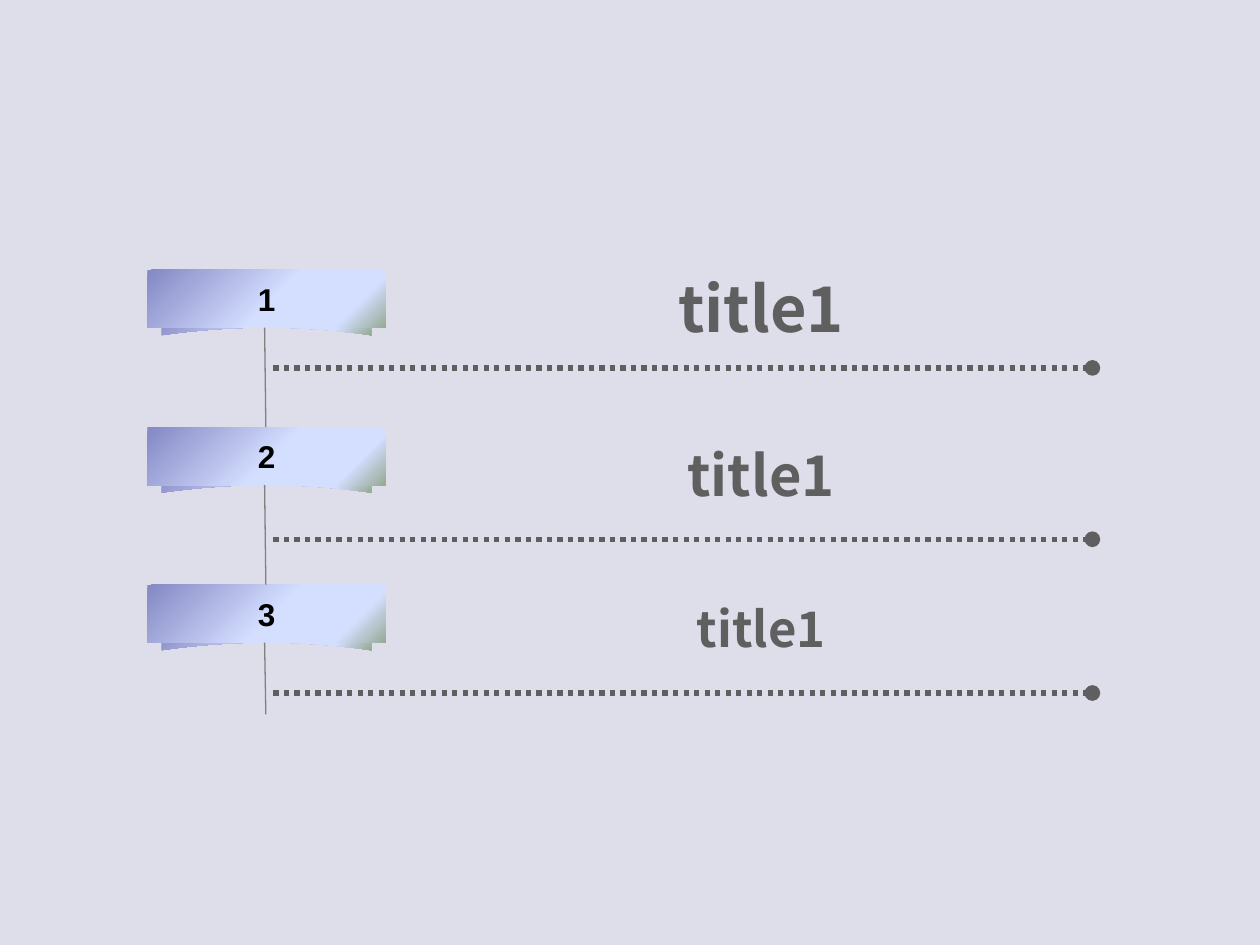
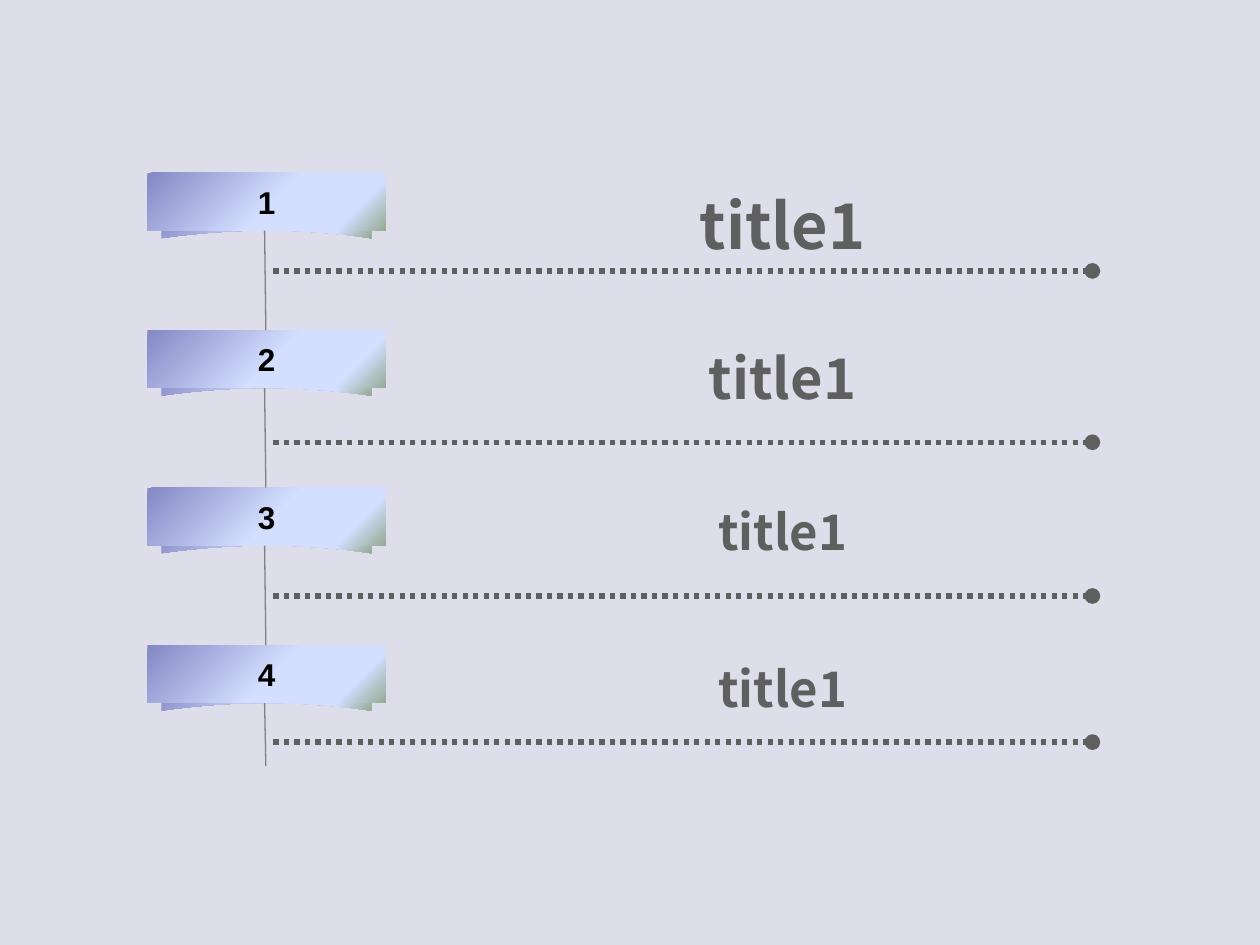
from dataclasses import dataclass

from lxml import etree
from pptx import Presentation
from pptx.dml.color import RGBColor
from pptx.enum.dml import MSO_LINE_DASH_STYLE as Dash
from pptx.enum.shapes import MSO_CONNECTOR as Connector, MSO_SHAPE as Shape
from pptx.enum.text import MSO_ANCHOR as Anchor, MSO_AUTO_SIZE as AutoSize, PP_ALIGN as Align
from pptx.oxml.ns import qn
from pptx.util import Inches, Pt

COLORS = {
    "background": "DDDEEA",
    "ribbon_dark": "8488C4",
    "ribbon_light": "D4DEFF",
    "ribbon_green": "96AB94",
    "stem": "808080",
    "title": "5F5F5F",
    "number": "000000",
}
RIBBON_STOPS = [(0, "ribbon_dark"), (53, "ribbon_light"), (83, "ribbon_light"), (100, "ribbon_green")]

# The slide is a grid of 100 columns by 75 rows; all lengths are in cells
COLUMNS, ROWS = 100, 75
BANNER_LEFT, BANNER_WIDTH, BANNER_HEIGHT = 11.7, 18.9, 4.6
PITCH = 12.5
RULE_LEFT, RULE_RIGHT = 21.7, 86.7
TITLE_WIDTH = 49.2
TITLE_HEIGHTS = {36: 7.1, 32: 6.4, 28: 5.7}


@dataclass
class Item:
    """Font size of a title, and drops of its parts below the banner's top."""
    size: int
    rule_drop: float
    title_drop: float = 0.6


def cells(count):
    return Inches(count / 10)


def color(name):
    return RGBColor.from_string(COLORS[name])


def style_text(shape, text, font_name, size, color_name):
    frame = shape.text_frame
    frame.text = text
    paragraph = frame.paragraphs[0]
    paragraph.alignment = Align.CENTER
    font = paragraph.runs[0].font
    font.name, font.size, font.bold = font_name, Pt(size), True
    font.color.rgb = color(color_name)
    return frame


def style_ribbon(shape):
    shape.shadow.inherit = False
    shape.line.fill.background()
    shape.fill.gradient()
    shape.fill.gradient_angle = 315
    stops = shape._element.spPr.find(qn("a:gradFill")).find(qn("a:gsLst"))
    for stop in list(stops):
        stops.remove(stop)
    for position, name in RIBBON_STOPS:
        stop = etree.SubElement(stops, qn("a:gs"), pos=str(position * 1000))
        etree.SubElement(stop, qn("a:srgbClr"), val=COLORS[name])


def add_line(slide, start, end, color_name, width):
    line = slide.shapes.add_connector(Connector.STRAIGHT, *map(cells, start + end))
    line.line.color.rgb = color(color_name)
    line.line.width = Pt(width)
    etree.SubElement(line._element.spPr, qn("a:effectLst"))
    return line


def add_banner(slide, left, top, width, height, number):
    group = slide.shapes.add_group_shape()

    # Curved fold below the banner: a parabola, closed by a shallow roof
    middle, half, fold_top = left + width / 2, 8.3, top + 3
    steps = [1 - step / 11 for step in range(23)]
    curve = [(middle + half * x, fold_top + 1.6 + 0.6 * x * x) for x in steps]
    roof = [(middle - half, fold_top + 0.6), (middle, fold_top), (middle + half, fold_top + 0.6)]
    points = [(cells(x), cells(y)) for x, y in curve + roof]
    builder = group.shapes.build_freeform(*points[0], scale=1.0)
    builder.add_line_segments(points[1:], close=True)
    style_ribbon(builder.convert_to_shape())

    # Numbered front
    front = group.shapes.add_shape(Shape.RECTANGLE, *map(cells, (left, top, width, height)))
    style_ribbon(front)
    frame = style_text(front, str(number), "Arial", 18, "number")
    frame.vertical_anchor = Anchor.MIDDLE
    frame.word_wrap = False


def add_stem(slide, top, bottom):
    add_line(slide, (21, top), (21.1, bottom), "stem", 0.75)


def add_rule(slide, left, right, level):
    rule = add_line(slide, (left, level), (right, level), "title", 3)
    rule.line.dash_style = Dash.ROUND_DOT
    outline = rule.line._get_or_add_ln()
    etree.SubElement(outline, qn("a:tailEnd"), type="oval")


def add_title(slide, left, top, width, size):
    box = slide.shapes.add_textbox(*map(cells, (left, top, width, TITLE_HEIGHTS[size])))
    frame = style_text(box, "title1", "Noto Sans CJK SC", size, "title")
    frame.word_wrap = True
    frame.auto_size = AutoSize.SHAPE_TO_FIT_TEXT


def add_list_slide(presentation, top, title_left, last_stem_drop, items):
    slide = presentation.slides.add_slide(presentation.slide_layouts[6])
    slide.background.fill.solid()
    slide.background.fill.fore_color.rgb = color("background")

    tops = [top + index * PITCH for index in range(len(items))]
    for number, banner_top in enumerate(tops, 1):
        add_banner(slide, BANNER_LEFT, banner_top, BANNER_WIDTH, BANNER_HEIGHT, number)
    # Each stem reaches the next banner; the last one hangs free
    for banner_top, end in zip(tops, tops[1:] + [tops[-1] + last_stem_drop]):
        add_stem(slide, banner_top + BANNER_HEIGHT, end)
    for item, banner_top in zip(items, tops):
        add_rule(slide, RULE_LEFT, RULE_RIGHT, banner_top + item.rule_drop)
        add_title(slide, title_left, banner_top + item.title_drop, TITLE_WIDTH, item.size)


presentation = Presentation()
presentation.slide_width, presentation.slide_height = cells(COLUMNS), cells(ROWS)

# Three items
add_list_slide(presentation, 21.4, 35.8, 10.3,
               [Item(36, 7.8, -0.5), Item(32, 8.9), Item(28, 8.6)])
# Four items
add_list_slide(presentation, 13.7, 37.5, 9.6,
               [Item(36, 7.8), Item(32, 8.9), Item(28, 8.6), Item(28, 7.7)])

presentation.save("out.pptx")
